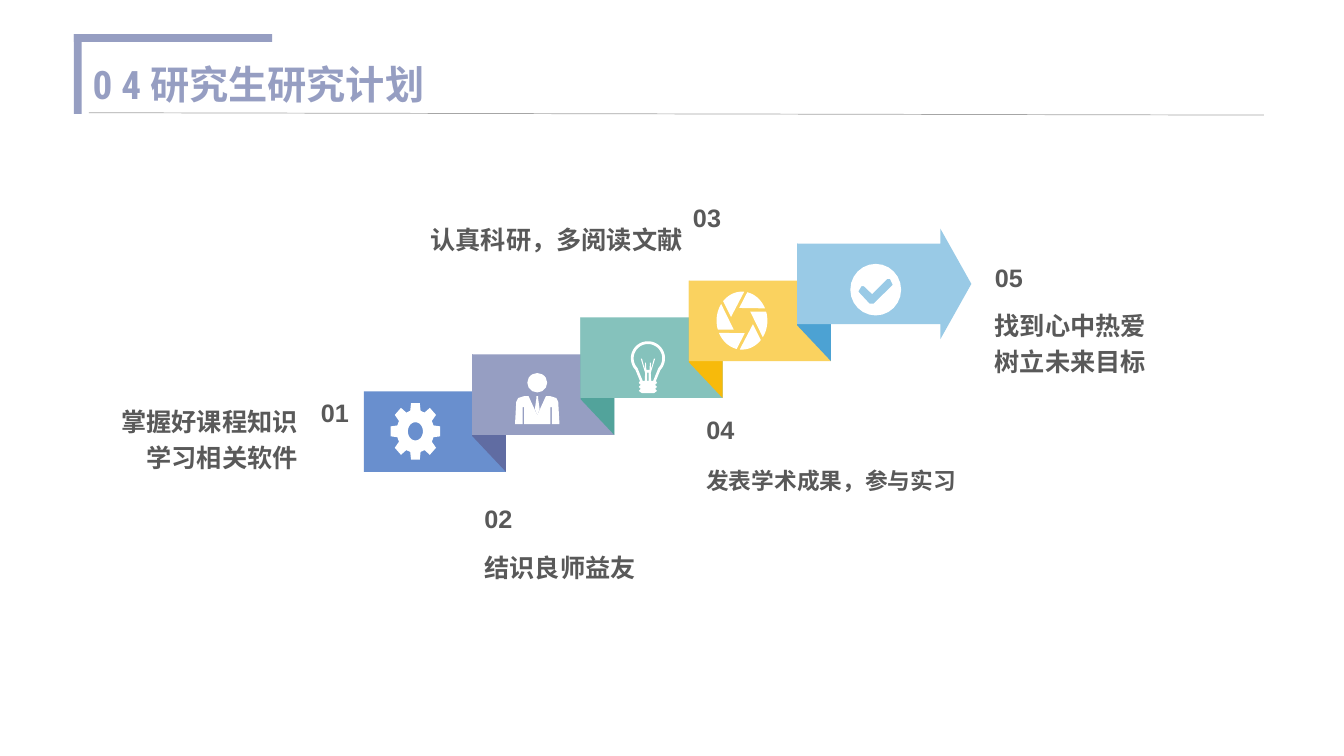
from math import cos, radians, sin

from lxml import etree
from pptx import Presentation
from pptx.dml.color import RGBColor
from pptx.enum.shapes import MSO_CONNECTOR, MSO_SHAPE
from pptx.enum.text import MSO_ANCHOR, PP_ALIGN
from pptx.oxml.ns import qn
from pptx.util import Cm, Pt

RECTANGLE, FOLD, OVAL = MSO_SHAPE.RECTANGLE, MSO_SHAPE.PARALLELOGRAM, MSO_SHAPE.OVAL
LEFT, RIGHT = PP_ALIGN.LEFT, PP_ALIGN.RIGHT
MIDDLE, BOTTOM = MSO_ANCHOR.MIDDLE, MSO_ANCHOR.BOTTOM
CJK_FONT = "Noto Sans CJK SC"

COLORS = {
    "title": "969EC2", "rule": "A6A6A6", "text": "595959", "white": "FFFFFF",
    "blue": "698FCE", "indigo": "606CA2", "lilac": "969EC2", "teal": "52A39B",
    "mint": "85C2BC", "amber": "F7BA0B", "yellow": "FAD25F", "azure": "4CA2D3",
    "sky": "99CAE6",
}

TITLE = "0 4 研究生研究计划"
STEPS = [("blue", "indigo"), ("lilac", "teal"), ("mint", "amber"), ("yellow", "azure")]
LABELS = [
    ("01", ["掌握好课程知识", "学习相关软件"], RIGHT, 18, (2.13, 9.91), (0.56, 9.92, 7.19, 2.16)),
    ("02", ["结识良师益友"], LEFT, 18, (11.96, 12.57), (11.96, 13.56, 6.91, 1.35)),
    ("03", ["认真科研，多阅读文献"], RIGHT, 18, (11.51, 5.0), (10.54, 5.26, 6.91, 1.42)),
    ("04", ["发表学术成果，参与实习"], LEFT, 16.2, (17.55, 10.34), (17.55, 11.33, 7.26, 1.42)),
    ("05", ["找到心中热爱", "树立未来目标"], LEFT, 18, (24.82, 6.5), (24.82, 7.49, 6.32, 2.16)),
]

STAIR_LEFT, STAIR_TOP = 9.17, 9.86
STEP_X, STEP_Y = 2.73, 0.93
BAND_WIDTH, BAND_HEIGHT = 3.58, 2.03
ICON_X, ICON_Y = 0.64, 0.73


def rgb(name):
    return RGBColor.from_string(COLORS[name])


def polar(radius_x, radius_y, angle):
    return radius_x * cos(radians(angle)), radius_y * sin(radians(angle))


def arc(radius_x, radius_y, start, end, pieces=24):
    return [polar(radius_x, radius_y, start + (end - start) * i / pieces)
            for i in range(pieces + 1)]


def mirrored(half):
    return half + [(-x, y) for x, y in reversed(half)]


def paint(shape, color):
    shape.shadow.inherit = False
    shape.fill.solid()
    shape.fill.fore_color.rgb = rgb(color)
    shape.line.fill.background()
    return shape


def add_preset(page, kind, left, top, width, height, color):
    return paint(page.shapes.add_shape(kind, Cm(left), Cm(top), Cm(width), Cm(height)), color)


def add_outline(page, center, contours, color):
    placed = [[(Cm(center[0] + x), Cm(center[1] + y)) for x, y in contour]
              for contour in contours]
    builder = page.shapes.build_freeform(*placed[0][0])
    for index, contour in enumerate(placed):
        if index:
            builder.move_to(*contour[0])
        builder.add_line_segments(contour[1:], close=True)
    paint(builder.convert_to_shape(), color)


def style(para, font_name, size, color, align, spacing):
    para.alignment = align
    para.line_spacing = spacing
    para.font.name = font_name
    para.font.size = Pt(size)
    para.font.bold = True
    para.font.color.rgb = rgb(color)
    defaults = para._p.get_or_add_pPr().find(qn("a:defRPr"))
    etree.SubElement(defaults, qn("a:ea")).set("typeface", CJK_FONT)


def add_text(page, frame, lines, font_name, size, align, anchor, spacing):
    box = page.shapes.add_textbox(*map(Cm, frame))
    box.text_frame.word_wrap = True
    box.text_frame.vertical_anchor = anchor
    box.text_frame.text = "\n".join(lines)
    for para in box.text_frame.paragraphs:
        style(para, font_name, size, "text", align, spacing)


def add_header(page):
    title = page.shapes.title
    title.left, title.top, title.width, title.height = map(Cm, (2.08, 0.53, 30.15, 2.31))
    title.text_frame.text = TITLE
    title.text_frame.vertical_anchor = BOTTOM
    style(title.text_frame.paragraphs[0], "Roboto Condensed", 28, "title", LEFT, 0.9)
    rule = page.shapes.add_connector(
        MSO_CONNECTOR.STRAIGHT, Cm(2.24), Cm(2.84), Cm(31.85), Cm(2.9))
    rule.line.color.rgb = rgb("rule")
    rule.line.width = Pt(0.5)
    etree.SubElement(rule._element.spPr, qn("a:effectLst"))
    for width, height in [(0.2, 2.01), (5.0, 0.2)]:
        add_preset(page, RECTANGLE, 1.86, 0.86, width, height, "title")


def add_stairs(page):
    fold_width = BAND_WIDTH - STEP_X
    fold_length = BAND_HEIGHT + STEP_Y
    left, top = STAIR_LEFT, STAIR_TOP
    for band_color, fold_color in STEPS:
        add_preset(page, RECTANGLE, left, top, BAND_WIDTH, BAND_HEIGHT, band_color)
        left, top = left + STEP_X, top - STEP_Y
        fold = add_preset(page, FOLD, left + (fold_width - fold_length) / 2,
                          top + (fold_length - fold_width) / 2,
                          fold_length, fold_width, fold_color)
        fold.rotation = 90
        fold.adjustments[0] = 1.06
    half, wing, neck, tip = BAND_HEIGHT / 2, 1.39, 3.61, 4.39
    arrow = [(0, -half), (neck, -half), (neck, -wing), (tip, 0),
             (neck, wing), (neck, half), (0, half)]
    add_outline(page, (left, top + half), [arrow], "sky")


def add_icons(page):
    gear = [polar(ICON_X * reach, ICON_Y * reach, tooth * 45 + turn)
            for tooth in range(8)
            for turn, reach in [(-16, 0.74), (-10, 0.99), (10, 0.99), (16, 0.74)]]
    gear_hole = arc(0.19, 0.23, 0, 360)

    body = mirrored([(0, 0.48), (0.22, 0), (0.32, 0), (0.48, 0.05), (0.53, 0.15),
                     (0.56, 0.71), (0.37, 0.71), (0.37, 0.28), (0.33, 0.28), (0.33, 0.71)])
    tie = mirrored([(0.02, 0), (0.02, 0.05), (0.06, 0.33), (0, 0.48)])

    bulb = mirrored(arc(0.43, 0.43, -90, 43) + [
        (0.2, 0.57), (0.23, 0.62), (0.18, 0.67), (0.23, 0.72),
        (0.18, 0.77), (0.23, 0.82), (0.15, 0.88)])
    glass = mirrored(arc(0.36, 0.36, -90, 43) + [
        (0.13, 0.57), (0.08, 0.57), (0.07, 0.37), (0.18, 0.01), (0.15, 0.01),
        (0.08, 0.27), (0.07, 0.11), (0.05, 0.11), (0.04, 0.29)])
    slot = mirrored([(0.02, 0.36), (0.02, 0.57)])

    blades = [arc(ICON_X, ICON_Y, turn - 85, turn - 138)
              + [polar(ICON_X * 0.45, ICON_Y * 0.45, turn - 164)]
              for turn in range(0, 360, 60)]

    disc = arc(0.64, 0.65, 0, 360)
    tick = [(0.43, -0.12), (0.36, -0.27), (0.29, -0.27), (-0.09, 0.11), (-0.3, -0.09),
            (-0.36, -0.09), (-0.43, 0.03), (-0.43, 0.06), (-0.16, 0.35), (-0.05, 0.35)]

    add_preset(page, OVAL, 13.29, 9.4, 0.5, 0.49, "white")
    for center, contours in [
        ((10.47, 10.87), [gear, gear_hole]),
        ((13.54, 9.98), [body]),
        ((13.54, 9.98), [tie]),
        ((16.33, 9.03), [bulb, glass, slot]),
        ((18.7, 8.08), blades),
        ((22.07, 7.3), [disc, tick]),
    ]:
        add_outline(page, center, contours, "white")


def main():
    deck = Presentation()
    deck.slide_width, deck.slide_height = Cm(33.87), Cm(19.05)
    page = deck.slides.add_slide(deck.slide_layouts[5])
    add_header(page)
    add_stairs(page)
    add_icons(page)
    for number, lines, align, size, (left, top), frame in LABELS:
        add_text(page, (left, top, 6.91, 0.99), [number], "Arial", 18, align, BOTTOM, 1.0)
        add_text(page, frame, lines, CJK_FONT, size, align, MIDDLE, 1.2)
    deck.save("out.pptx")


if __name__ == "__main__":
    main()
